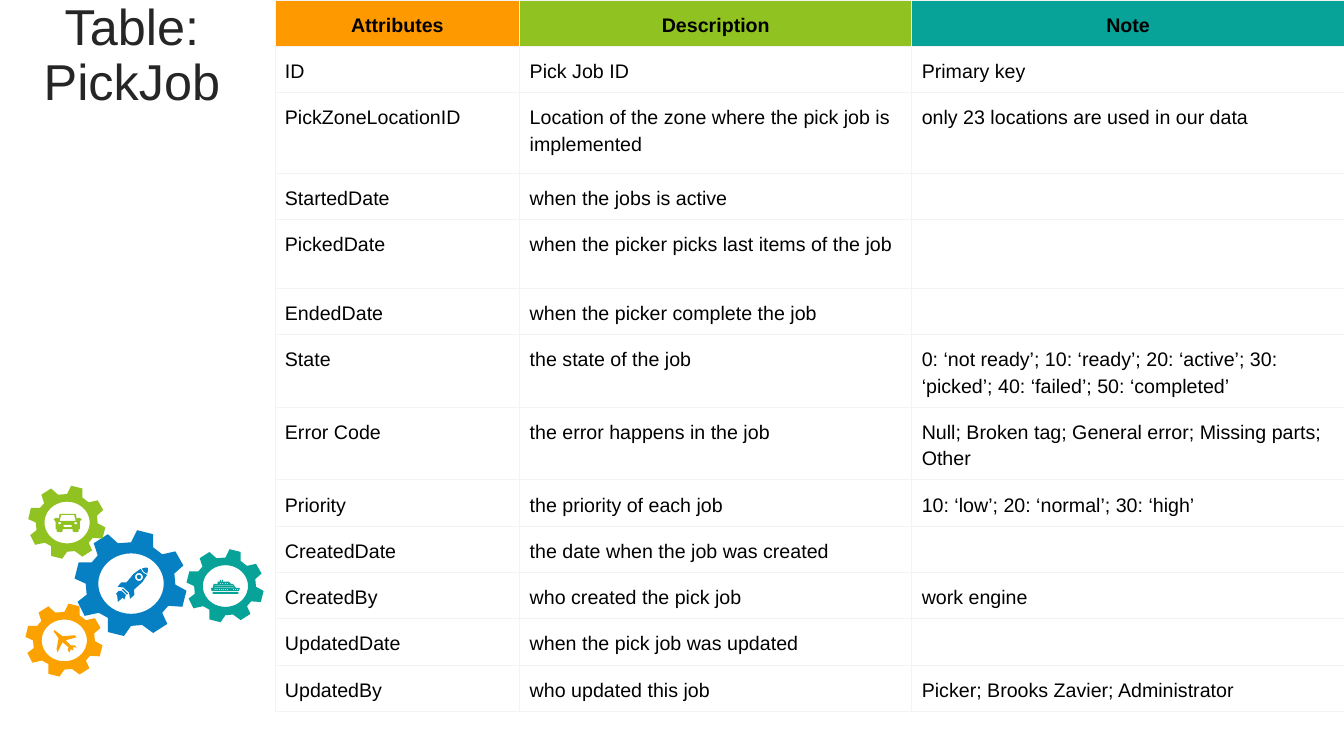
import math
from dataclasses import dataclass

from lxml import etree
from pptx import Presentation
from pptx.dml.color import RGBColor
from pptx.enum.text import MSO_ANCHOR, PP_ALIGN
from pptx.oxml.ns import qn
from pptx.shapes.autoshape import Shape
from pptx.table import _Cell
from pptx.util import Cm, Pt

CENTER = PP_ALIGN.CENTER
LEFT = PP_ALIGN.LEFT
MIDDLE = MSO_ANCHOR.MIDDLE

FONT = "Arial"
ORANGE, GREEN, TEAL, BLUE, AMBER = "FF9900", "90C221", "07A398", "0680C3", "FBA200"
BORDER = "F3F3F3"
UNIT = 0.0254
PRECISION = 100

Contour = list[tuple[float, float]]


@dataclass(frozen=True)
class Column:
    heading: str
    width: float
    color: str


@dataclass(frozen=True)
class Row:
    texts: tuple[str, str, str]
    height: float = 1.14


@dataclass(frozen=True)
class Drawing:
    left: float
    top: float
    color: str
    contours: list[Contour]
    scale: float = 1
    rotation: float = 0


def color(value: str) -> RGBColor:
    return RGBColor.from_string(value)


def ellipse(x: float, y: float, radius_x: float, radius_y: float) -> Contour:
    angles = [math.tau * step / 40 for step in range(40)]
    return [(x + radius_x * math.cos(a), y + radius_y * math.sin(a)) for a in angles]


def rectangle(left: float, top: float, right: float, bottom: float) -> Contour:
    return [(left, top), (right, top), (right, bottom), (left, bottom)]


COLUMNS = [
    Column("Attributes", 6.17, ORANGE),
    Column("Description", 9.88, GREEN),
    Column("Note", 10.9, TEAL),
]

ROWS = [
    Row(("ID", "Pick Job ID", "Primary key")),
    Row(("PickZoneLocationID", "Location of the zone where the pick job is implemented",
         "only 23 locations are used in our data"), 2.03),
    Row(("StartedDate", "when the jobs is active", "")),
    Row(("PickedDate", "when the picker picks last items of the job", ""), 1.73),
    Row(("EndedDate", "when the picker complete the job", "")),
    Row(("State", "the state of the job",
         "0: ‘not ready’; 10: ‘ready’; 20: ‘active’; 30: ‘picked’; "
         "40: ‘failed’; 50: ‘completed’"), 1.73),
    Row(("Error Code", "the error happens in the job",
         "Null; Broken tag; General error; Missing parts; Other"), 1.73),
    Row(("Priority", "the priority of each job", "10: ‘low’; 20: ‘normal’; 30: ‘high’")),
    Row(("CreatedDate", "the date when the job was created", "")),
    Row(("CreatedBy", "who created the pick job", "work engine")),
    Row(("UpdatedDate", "when the pick job was updated", "")),
    Row(("UpdatedBy", "who updated this job", "Picker; Brooks Zavier; Administrator")),
]

GEAR = [
    [(62, 0), (78, 4), (78, 17), (87, 24), (100, 21), (108, 35), (99, 43), (100, 54),
     (111, 60), (107, 76), (93, 75), (87, 82), (92, 93), (78, 102), (67, 94), (56, 95),
     (49, 105), (33, 101), (33, 87), (24, 82), (10, 85), (3, 71), (12, 64), (11, 53),
     (0, 48), (4, 32), (17, 32), (23, 25), (19, 13), (33, 4), (43, 13), (56, 12)],
    ellipse(56, 53, 32.5, 30),
]

CAR = [
    [(6, 0), (22, 0), (23, 5), (24, 4), (26, 4), (28, 5.5), (26.5, 7), (26, 8), (26, 15),
     (25, 15), (25, 17), (24, 18), (20, 18), (19, 17), (19, 15), (9, 15), (9, 17), (8, 18),
     (4, 18), (3, 17), (3, 15), (2, 15), (2, 8), (1.5, 7), (0, 5.5), (2, 4), (4, 4), (5, 5)],
    [(7.5, 1), (20.5, 1), (22, 7), (6, 7)],
    ellipse(6, 9.2, 1.5, 1.2),
    ellipse(22, 9.2, 1.5, 1.2),
    rectangle(10, 11, 18, 13),
]

SHIP = [
    [(11, 0), (12, 0), (12, 2), (18, 2), (20, 4), (22, 4), (25, 8), (29, 8), (28, 11),
     (1, 11), (0, 8), (2, 8), (3, 4), (7, 4), (7, 2), (9, 2), (9, 0), (10, 0), (10, 2),
     (11, 2)],
    rectangle(2, 12, 27.5, 14),
    rectangle(4, 5, 22.5, 5.7),
    rectangle(3.5, 7, 23.5, 7.7),
    *[rectangle(x, 9, x + 1, 10) for x in (4, 6, 8, 10, 12, 14, 16, 22, 24, 26)],
    *[rectangle(x, 3, x + 1, 4) for x in (9, 11, 14, 16)],
]

PLANE = [
    [(23, 17), (19, 17), (20, 20), (17, 19), (16, 22), (14, 20), (15, 17), (9, 12), (4, 22),
     (3, 19), (5, 8), (0, 1), (1, 0), (9, 6), (21, 5), (23, 7), (12, 10), (17, 15), (21, 15)],
]

ROCKET = [
    [(9, 0), (11, 1.7), (12.7, 4.7), (9, 5.5), (5.3, 4.7), (7, 1.7)],
    [(4.5, 5.7), (9, 6.6), (13.5, 5.7), (15, 14), (14.2, 25), (18, 28.7), (17.6, 34.4),
     (12.7, 30.7), (5.3, 30.7), (0.4, 34.4), (0, 28.7), (3.8, 25), (3, 14)],
    ellipse(9, 12.6, 3.9, 3.9),
    ellipse(9, 12.6, 2.1, 2.1),
    rectangle(5.5, 32, 12.5, 33.4),
    [(6, 34.5), (12, 34.5), (14, 39), (11.5, 38.5), (11, 45), (7, 41.5), (4, 40), (4, 36.5)],
]

GEARS = [
    Drawing(1.88, 13.36, BLUE, GEAR),
    Drawing(4.7, 13.84, TEAL, GEAR, 0.69),
    Drawing(0.71, 12.24, GREEN, GEAR, 0.69),
    Drawing(0.64, 15.21, AMBER, GEAR, 0.69),
]

ICONS = [
    Drawing(1.35, 12.95, GREEN, CAR),
    Drawing(5.31, 14.61, TEAL, SHIP),
    Drawing(1.35, 15.88, AMBER, PLANE),
    Drawing(3.1, 14.15, BLUE, ROCKET, rotation=43.7),
]


def draw(shapes, drawing: Drawing) -> Shape:
    scaled = [[(x * PRECISION, y * PRECISION) for x, y in contour]
              for contour in drawing.contours]
    builder = shapes.build_freeform(*scaled[0][0], Cm(UNIT) * drawing.scale / PRECISION)
    for index, contour in enumerate(scaled):
        if index:
            builder.move_to(*contour[0])
        builder.add_line_segments(contour[1:], close=True)
    shape = builder.convert_to_shape(Cm(drawing.left), Cm(drawing.top))
    shape.shadow.inherit = False
    shape.fill.solid()
    shape.fill.fore_color.rgb = color(drawing.color)
    shape.line.fill.background()
    shape.rotation = drawing.rotation
    return shape


def write(paragraph, text: str, size: float, text_color: str, bold: bool = False) -> None:
    run = paragraph.add_run()
    run.text = text
    run.font.name = FONT
    run.font.size = Pt(size)
    run.font.bold = bold
    run.font.color.rgb = color(text_color)


def add_borders(cell: _Cell) -> None:
    properties = cell._tc.get_or_add_tcPr()
    for side in ("a:lnL", "a:lnR", "a:lnT", "a:lnB"):
        line = etree.SubElement(properties, qn(side), w=str(Pt(0.75)))
        fill = etree.SubElement(line, qn("a:solidFill"))
        etree.SubElement(fill, qn("a:srgbClr"), val=BORDER)


def fill_cell(cell: _Cell, text: str, fill: str = "") -> None:
    cell.margin_left = cell.margin_right = Cm(0.25)
    cell.margin_top = cell.margin_bottom = Cm(0.25)
    add_borders(cell)
    if fill:
        cell.fill.solid()
        cell.fill.fore_color.rgb = color(fill)
    else:
        cell.fill.background()
    paragraph = cell.text_frame.paragraphs[0]
    paragraph.alignment = CENTER if fill else LEFT
    paragraph.line_spacing = 1.2
    if text:
        write(paragraph, text, 14, "000000", bool(fill))
    else:
        etree.SubElement(paragraph._p, qn("a:endParaRPr"), sz="1400")


def add_job_table(slide) -> None:
    width = sum(column.width for column in COLUMNS)
    frame = slide.shapes.add_table(len(ROWS) + 1, len(COLUMNS), Cm(6.93), Cm(0),
                                   Cm(width), Cm(18.11))
    table = frame.table
    table.first_row = table.horz_banding = False
    table.rows[0].height = Cm(1.14)
    for index, column in enumerate(COLUMNS):
        table.columns[index].width = Cm(column.width)
        fill_cell(table.cell(0, index), column.heading, column.color)
    for row_index, row in enumerate(ROWS, 1):
        table.rows[row_index].height = Cm(row.height)
        for index, text in enumerate(row.texts):
            fill_cell(table.cell(row_index, index), text)


def add_title(slide) -> None:
    frame = slide.shapes.add_textbox(Cm(0), Cm(0), Cm(6.65), Cm(2.87)).text_frame
    frame.word_wrap = True
    frame.vertical_anchor = MIDDLE
    paragraph = frame.paragraphs[0]
    paragraph.alignment = CENTER
    paragraph.line_spacing = 0.9
    write(paragraph, "Table: PickJob", 36, "262626")


def main() -> None:
    presentation = Presentation()
    presentation.slide_width = Cm(33.87)
    presentation.slide_height = Cm(19.05)
    slide = presentation.slides.add_slide(presentation.slide_layouts[6])
    add_job_table(slide)
    add_title(slide)
    gear_group = slide.shapes.add_group_shape()
    for gear in GEARS:
        draw(gear_group.shapes, gear)
    for icon in ICONS:
        draw(slide.shapes, icon)
    presentation.save("out.pptx")


if __name__ == "__main__":
    main()
